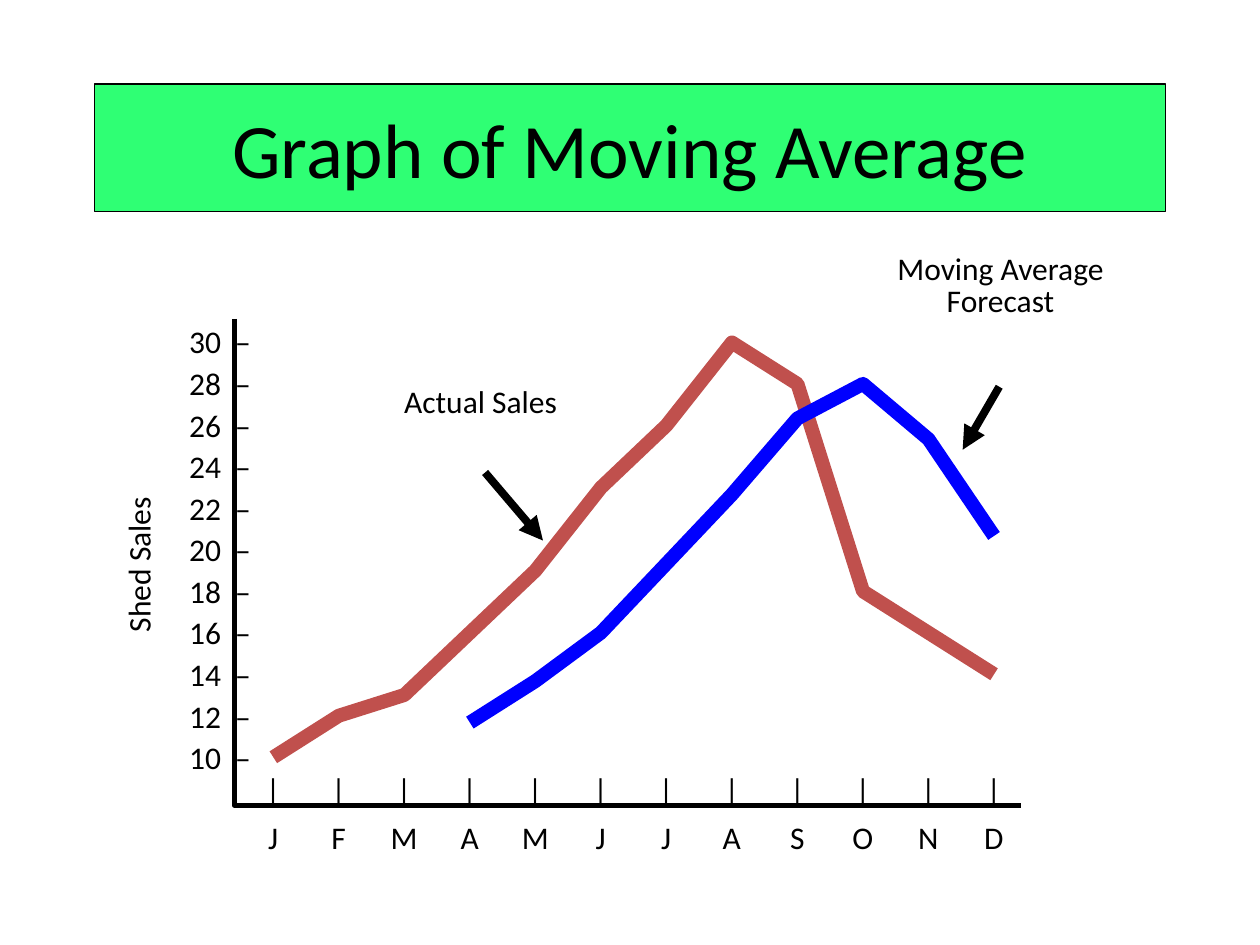
"""Build a slide that plots actual shed sales against their moving average forecast."""
from dataclasses import dataclass

from lxml import etree
from pptx import Presentation
from pptx import util as u
from pptx.dml.color import RGBColor
from pptx.enum import shapes, text
from pptx.oxml import ns


@dataclass(frozen=True)
class Theme:
    font: str = "Calibri"
    ink: str = "000000"
    banner: str = "2FFF74"
    actual: str = "C0504D"
    forecast: str = "0000FF"
    title_size: float = 44
    body_size: float = 18


def apply(target, values):
    for name, value in values.items():
        setattr(target, name, value)


class SlideBuilder:
    def __init__(self, slide, theme):
        self.slide = slide
        self.theme = theme

    def fill_text(self, frame, lines, size, frame_format, paragraph_format):
        apply(frame, frame_format)
        for index, line in enumerate(lines):
            paragraph = frame.add_paragraph() if index else frame.paragraphs[0]
            apply(paragraph, paragraph_format)
            run = paragraph.add_run()
            run.text = line
            apply(run.font, {"name": self.theme.font, "size": u.Pt(size)})
            run.font.color.rgb = RGBColor.from_string(self.theme.ink)

    def stroke(self, line, color, width):
        line.color.rgb = RGBColor.from_string(color)
        line.width = u.Pt(width)

    def banner(self, box, title):
        panel = self.slide.shapes.add_shape(shapes.MSO_SHAPE.RECTANGLE, *map(u.Pt, box))
        panel.shadow.inherit = False
        panel.fill.solid()
        panel.fill.fore_color.rgb = RGBColor.from_string(self.theme.banner)
        self.stroke(panel.line, self.theme.ink, 0.75)
        self.fill_text(panel.text_frame, [title], self.theme.title_size,
                       {"word_wrap": True, "vertical_anchor": text.MSO_ANCHOR.MIDDLE},
                       {"alignment": text.PP_ALIGN.CENTER})

    def label(self, box, lines, wrap=False, rotation=0, tabs=(), **paragraph_format):
        holder = self.slide.shapes.add_textbox(*map(u.Pt, box))
        holder.rotation = rotation
        frame = holder.text_frame
        self.fill_text(frame, lines, self.theme.body_size,
                       {"word_wrap": wrap, "auto_size": text.MSO_AUTO_SIZE.SHAPE_TO_FIT_TEXT},
                       paragraph_format)
        if tabs:
            for paragraph in frame.paragraphs:
                stops = etree.SubElement(paragraph._p.get_or_add_pPr(), ns.qn("a:tabLst"))
                for stop in tabs:
                    etree.SubElement(stops, ns.qn("a:tab"), pos=str(u.Pt(stop)), algn="ctr")

    def polyline(self, points, color, width):
        start, *rest = [(u.Pt(x), u.Pt(y)) for x, y in points]
        builder = self.slide.shapes.build_freeform(*start)
        builder.add_line_segments(rest, close=False)
        curve = builder.convert_to_shape()
        curve.shadow.inherit = False
        curve.fill.background()
        self.stroke(curve.line, color, width)

    def arrow(self, start, end):
        pointer = self.slide.shapes.add_connector(
            shapes.MSO_CONNECTOR.STRAIGHT, *map(u.Pt, start + end))
        self.stroke(pointer.line, self.theme.ink, 4.5)
        etree.SubElement(pointer.line._get_or_add_ln(), ns.qn("a:tailEnd"), type="triangle")
        etree.SubElement(pointer._element.spPr, ns.qn("a:effectLst"))


def main():
    deck = Presentation()
    apply(deck, {"slide_width": u.Pt(720), "slide_height": u.Pt(540)})
    theme = Theme()
    page = SlideBuilder(deck.slides.add_slide(deck.slide_layouts[6]), theme)

    months = "JFMAMJJASOND"
    sales = [10, 12, 13, 16, 19, 23, 26, 30, 28, 18, 16, 14]
    window = 3
    averages = [sum(sales[i - window:i]) / window for i in range(window, len(sales))]
    first_month, month_step = 156.2, 37.44
    base_value, base_y, unit = 10, 432.7, 11.85

    def plot(values, first=0):
        return [(first_month + month_step * (first + i), base_y - unit * (value - base_value))
                for i, value in enumerate(values)]

    page.banner((54, 48, 612, 73), "Graph of Moving Average")

    months_left, inset = 118.8, 7.2
    month_tabs = [first_month - months_left - inset + month_step * i for i in range(len(months))]
    month_rows = ["".join(f"\t{mark}" for mark in row) for row in ("|" * len(months), months)]
    page.label((months_left, 431.3, 463, 61.2), month_rows, tabs=month_tabs, line_spacing=1.25)
    page.polyline([(133.9, 182.2), (133.9, 460.1), (583.2, 460.1)], theme.ink, 3)
    page.label((23.8, 298.8, 110.2, 28.8), ["Shed Sales"], rotation=270)
    page.label((95.8, 178.6, 54.7, 268.6), [f"{value}  –" for value in range(30, 9, -2)],
               alignment=text.PP_ALIGN.RIGHT, line_spacing=1.1)

    page.polyline(plot(sales), theme.actual, 8)
    page.polyline(plot(averages, window), theme.forecast, 8)

    callouts = [
        ("Actual Sales", (217.4, 218.2, 114.5, 56.2), (277.2, 270), (310.3, 308.9)),
        ("Moving Average Forecast", (502.6, 141.8, 138.2, 80.6), (571, 221), (550.1, 257)),
    ]
    for caption, box, start, end in callouts:
        page.label(box, [caption], wrap=True, alignment=text.PP_ALIGN.CENTER, line_spacing=0.85)
        page.arrow(start, end)

    deck.save("out.pptx")


if __name__ == "__main__":
    main()
